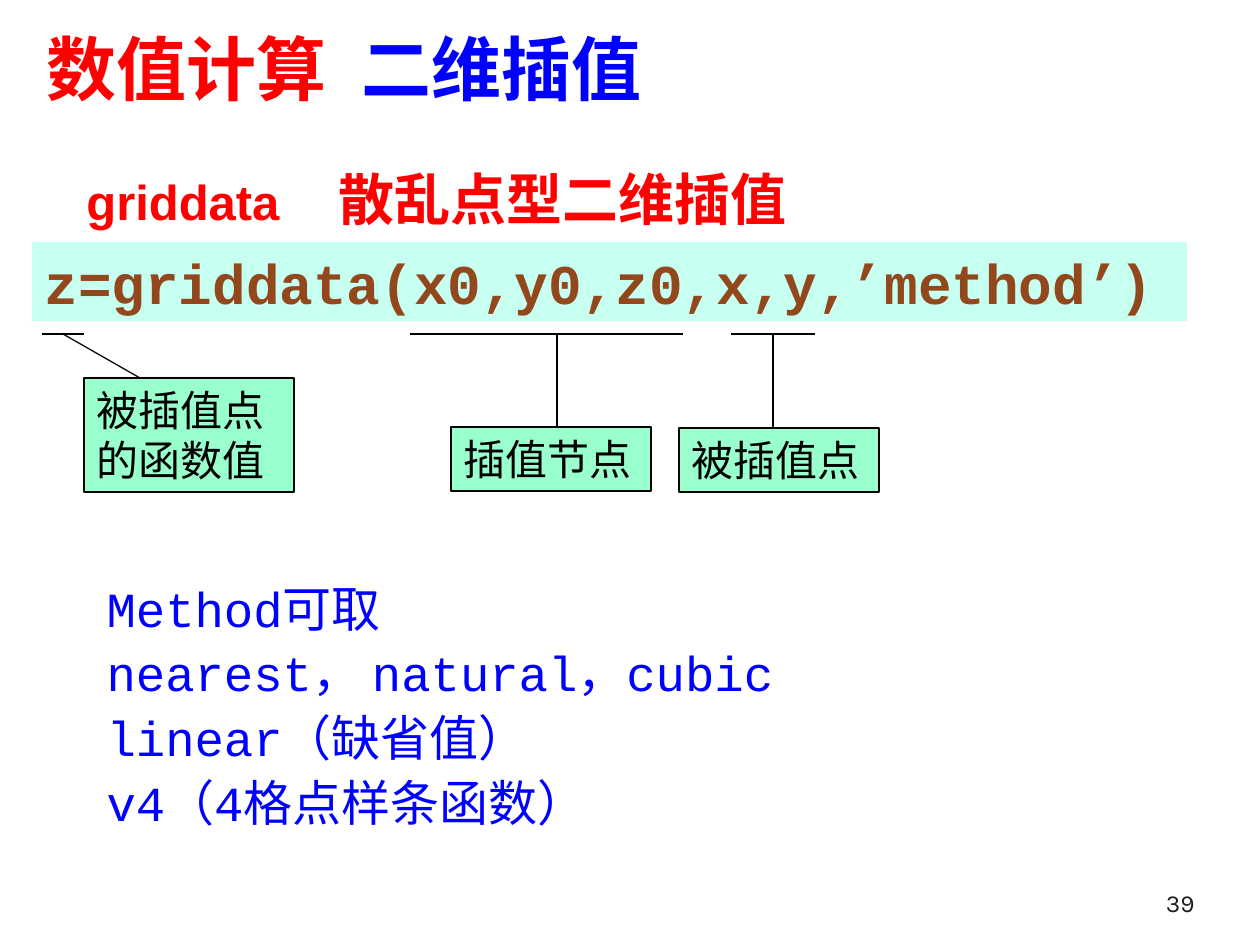
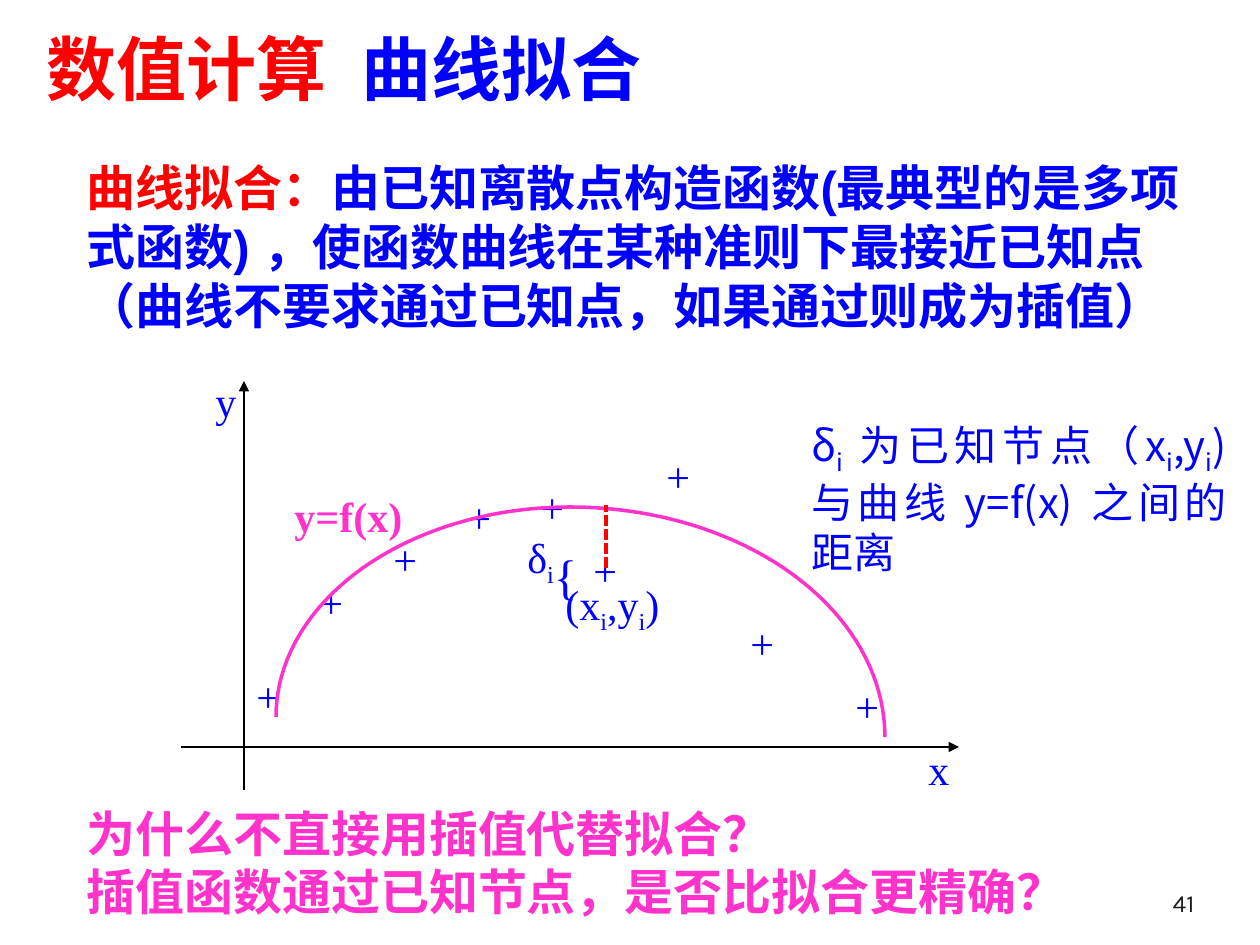
from math import cos, pi, sin

from lxml import etree
from pptx import Presentation
from pptx.dml.color import RGBColor
from pptx.enum.dml import MSO_LINE
from pptx.enum.shapes import MSO_CONNECTOR, MSO_SHAPE
from pptx.enum.text import MSO_ANCHOR, MSO_AUTO_SIZE, PP_ALIGN
from pptx.oxml.ns import qn
from pptx.util import Emu, Pt

STRAIGHT, RECTANGLE = MSO_CONNECTOR.STRAIGHT, MSO_SHAPE.RECTANGLE
TOP, BOTTOM = MSO_ANCHOR.TOP, MSO_ANCHOR.BOTTOM
LEFT, RIGHT, JUSTIFY = PP_ALIGN.LEFT, PP_ALIGN.RIGHT, PP_ALIGN.JUSTIFY
DASH, FIXED_SIZE = MSO_LINE.SQUARE_DOT, MSO_AUTO_SIZE.NONE

COLORS = {"red": "FF0000", "blue": "0000FF", "pink": "FF33CC", "black": "000000",
          "brown": "93471D", "ink": "1C1C1C", "code": "C7FFF0", "label": "99FFCC"}
SANS, SERIF, MONO = "Arial", "Times New Roman", "Courier New"
CHINESE, NUMBER_FONT = "Noto Sans CJK SC", "Karla"
PX_PER_INCH = 126
SLIDE_SIZE = (1260, 945)
TITLE_AT = (34, 26, 1081, 90)
NUMBER_AT = (945, 861, 262, 63)
TITLE_TAB, GRIDDATA_TAB = 312, 237
CHAPTER = "数值计算"

# Interpolation slide
GRIDDATA_AT = (74, 159, 1152, 79)
GRIDDATA = [("griddata", {"size": 28}), ("\t散乱点型二维插值", {"size": 32})]
CALL_AT = (32, 242, 1155, 79)
CALL = "z=griddata(x0,y0,z0,x,y,’method’)"
UNDERLINE_Y = 334
UNDERLINES = [(42, 84), (410, 683), (731, 815)]
LEADERS = [(63, 140, 378), (557, 557, 428), (773, 773, 428)]
ARGUMENT_LABELS = [("被插值点的函数值", (84, 378, 210, 114)),
                   ("插值节点", (451, 427, 200, 64)),
                   ("被插值点", (679, 428, 200, 64))]
METHODS_AT = (94, 566, 998, 273)
METHODS = ["Method可取", "nearest， natural，cubic", "linear（缺省值）", "v4（4格点样条函数）"]

# Curve fitting slide
FITTING_AT = (74, 142, 1152, 785)
DEFINITION = [
    ("曲线拟合：", {"color": "red"}),
    ("由已知离散点构造函数(最典型的是多项式函数) ，使函数曲线在某种准则下"
     "最接近已知点（曲线不要求通过已知点，如果通过则成为插值）", {}),
]
QUESTIONS = ["为什么不直接用插值代替拟合？", "插值函数通过已知节点，是否比拟合更精确？"]
FIGURE_GAP = Pt(268)
AXES = [((181, 747), (959, 747)), ((244, 790), (244, 381))]
AXIS_NAMES = [("x", (916, 737, 84, 63)), ("y", (203, 369, 63, 63))]
POINT_SIZE = (73, 63)
POINTS = [(244, 664), (381, 527), (307, 570), (455, 485), (528, 475),
          (581, 538), (654, 444), (738, 611), (843, 674)]
CURVE_PEAK = (570, 507)
CURVE_RADII = [(315, 230), (-294, 210)]
CURVE_NAME_AT = (282, 484, 147, 63)
NODE_AT = (553, 572, 126, 63)
DISTANCE_LINE = ((606, 568), (606, 505))
DELTA_AT = (515, 483, 118, 81)
NOTE_AT = (799, 413, 440, 165)
SUB = {"baseline": -25}
NODE = [("(x", {}), ("i", SUB), (",y", {}), ("i", SUB), (")", {})]
DELTA = [("δ", {}), ("i", SUB), ("{", {"baseline": -25, "size": 48})]
NOTE = [("δ", {}), ("i ", SUB), ("为已知节点（x", {}), ("i", SUB), (",y", {}),
        ("i", SUB), (") 与曲线 y=f(x) 之间的距离", {})]


def px(length):
    return Emu(round(length * 914400 / PX_PER_INCH))


def rgb(name):
    return RGBColor.from_string(COLORS[name])


def add_span(para, text, size=24, font=SERIF, color="blue", bold=False, baseline=0):
    span = para.add_run()
    span.text = text
    span.font.size, span.font.name, span.font.bold = Pt(size), font, bold
    span.font.color.rgb = rgb(color)
    properties = span._r.get_or_add_rPr()
    etree.SubElement(properties, qn("a:ea")).set("typeface", CHINESE)
    if baseline:
        properties.set("baseline", str(baseline * 1000))


def write(box, paras, anchor=TOP, align=LEFT, spacing=1.0, tab=None, gaps=None, **style):
    """Fill a box; a paragraph is a string or a list of (text, style) spans.

    gaps maps a paragraph's index to the space before it.
    """
    frame = box.text_frame
    frame.word_wrap, frame.auto_size = True, FIXED_SIZE
    frame.vertical_anchor = anchor
    frame.margin_left = frame.margin_right = px(12.6)
    frame.margin_top = frame.margin_bottom = px(6.3)
    for index, spans in enumerate(paras):
        para = frame.paragraphs[0] if index == 0 else frame.add_paragraph()
        para.alignment, para.line_spacing = align, spacing
        para.space_before = (gaps or {}).get(index, Pt(0))
        properties = para._p.get_or_add_pPr()
        properties.set("marL", "0")
        properties.set("indent", "0")
        etree.SubElement(properties, qn("a:buNone"))
        if tab:
            stops = etree.SubElement(properties, qn("a:tabLst"))
            etree.SubElement(stops, qn("a:tab"), pos=str(px(tab)), algn="l")
        for text, changes in [(spans, {})] if isinstance(spans, str) else spans:
            add_span(para, text, **{**style, **changes})


def place(box, at):
    box.left, box.top, box.width, box.height = map(px, at)
    return box


def add_text(page, at, paras, **style):
    write(page.shapes.add_textbox(*map(px, at)), paras, **style)


def add_panel(page, at, text, fill, outlined=False, **style):
    panel = page.shapes.add_shape(RECTANGLE, *map(px, at))
    panel.shadow.inherit = False
    panel.fill.solid()
    panel.fill.fore_color.rgb = rgb(fill)
    if outlined:
        panel.line.color.rgb, panel.line.width = rgb("black"), Pt(0.75)
    else:
        panel.line.fill.background()
    write(panel, [text], **style)


def add_line(page, start, end, color="black", width=0.75, dash=None, arrow=False):
    line = page.shapes.add_connector(STRAIGHT, *map(px, start + end))
    line.line.color.rgb, line.line.width = rgb(color), Pt(width)
    if dash:
        line.line.dash_style = dash
    if arrow:
        etree.SubElement(line.line._get_or_add_ln(), qn("a:tailEnd"), type="triangle")
    etree.SubElement(line._element.spPr, qn("a:effectLst"))


def add_quarter_curve(page, peak, radii, steps=40):
    """Draw a quarter ellipse from its peak down to one side."""
    (x, y), (across, down) = peak, radii
    angles = [pi / 2 * step / steps for step in range(steps + 1)]
    points = [(px(x + across * sin(a)), px(y + down * (1 - cos(a)))) for a in angles]
    builder = page.shapes.build_freeform(*points[0])
    builder.add_line_segments(points[1:], close=False)
    curve = builder.convert_to_shape()
    curve.shadow.inherit = False
    curve.fill.background()
    curve.line.color.rgb, curve.line.width = rgb("pink"), Pt(2)


def add_page(deck, topic, number):
    page = deck.slides.add_slide(deck.slide_layouts[1])
    heading = [(CHAPTER, {"color": "red"}), ("\t" + topic, {})]
    write(place(page.shapes.title, TITLE_AT), [heading], anchor=BOTTOM,
          tab=TITLE_TAB, size=40, font=SANS, bold=True)
    add_text(page, NUMBER_AT, [str(number)], anchor=BOTTOM, align=RIGHT,
             size=14, font=NUMBER_FONT, color="ink")
    return page


def build_interpolation(deck):
    page = add_page(deck, "二维插值", 39)
    write(place(page.placeholders[1], METHODS_AT), METHODS, spacing=1.1, size=28, font=MONO)
    add_text(page, GRIDDATA_AT, [GRIDDATA], anchor=BOTTOM, tab=GRIDDATA_TAB,
             font=SANS, color="red", bold=True)
    add_panel(page, CALL_AT, CALL, "code", size=32, font=MONO, color="brown", bold=True)
    for left, right in UNDERLINES:
        add_line(page, (left, UNDERLINE_Y), (right, UNDERLINE_Y))
    for start, end, bottom in LEADERS:
        add_line(page, (start, UNDERLINE_Y), (end, bottom))
    for text, at in ARGUMENT_LABELS:
        add_panel(page, at, text, "label", outlined=True, color="black")


def build_fitting(deck):
    page = add_page(deck, "曲线拟合", 41)
    questions = [[(text, {"color": "pink"})] for text in QUESTIONS]
    write(place(page.placeholders[1], FITTING_AT), [DEFINITION] + questions,
          anchor=BOTTOM, gaps={1: FIGURE_GAP}, size=28, font=SANS, bold=True)
    for point in POINTS:
        add_text(page, point + POINT_SIZE, ["+"])
    for start, end in AXES:
        add_line(page, start, end, arrow=True)
    for name, at in AXIS_NAMES:
        add_text(page, at, [name])
    for radii in CURVE_RADII:
        add_quarter_curve(page, CURVE_PEAK, radii)
    add_text(page, CURVE_NAME_AT, ["y=f(x)"], color="pink", bold=True)
    add_text(page, NODE_AT, [NODE])
    add_line(page, *DISTANCE_LINE, color="red", width=2, dash=DASH)
    add_text(page, DELTA_AT, [DELTA])
    add_text(page, NOTE_AT, [NOTE], align=JUSTIFY, font=CHINESE)


def main():
    deck = Presentation()
    deck.slide_width, deck.slide_height = map(px, SLIDE_SIZE)
    build_interpolation(deck)
    build_fitting(deck)
    deck.save("out.pptx")


if __name__ == "__main__":
    main()
